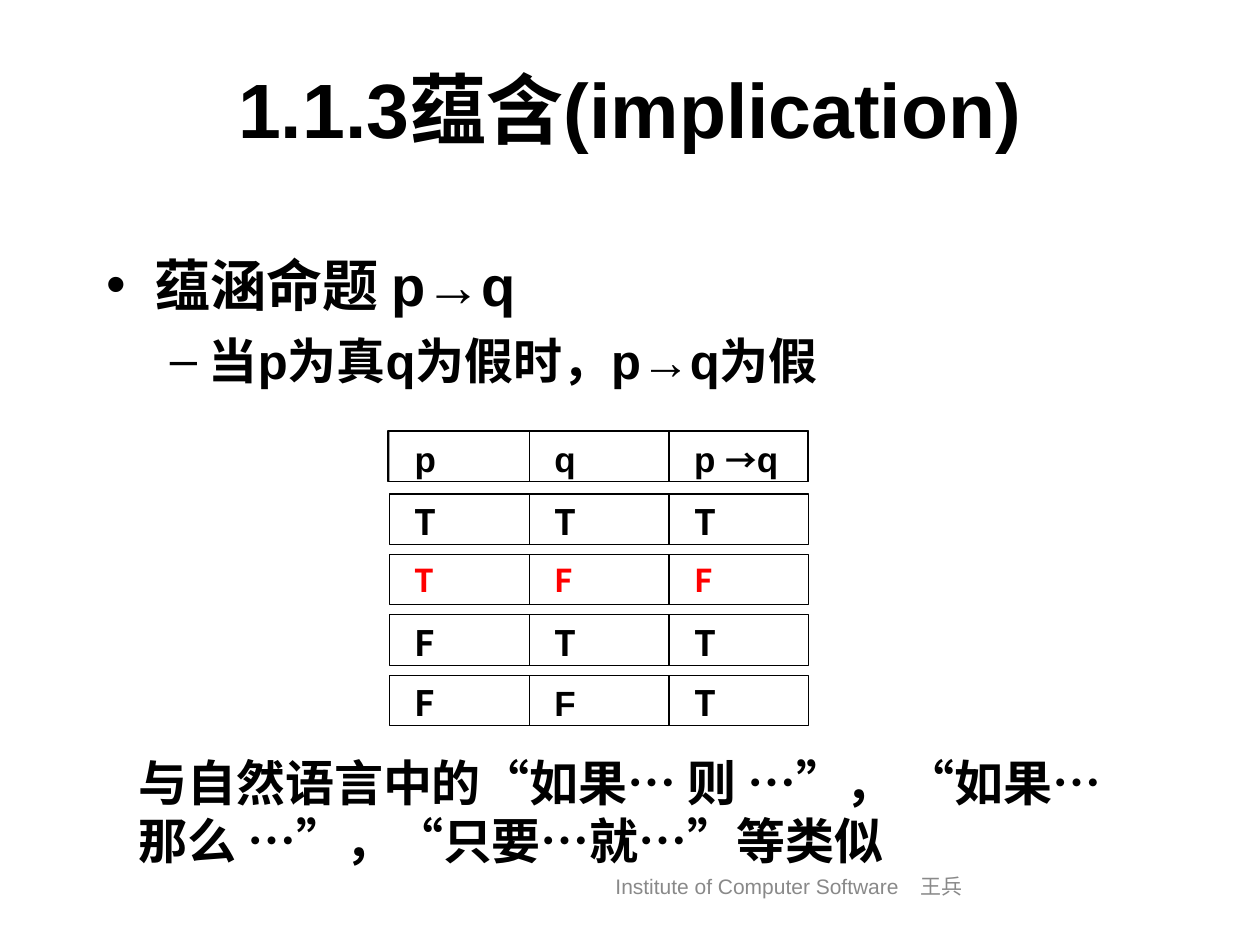
from lxml import etree
from pptx import Presentation
from pptx.dml.color import RGBColor
from pptx.enum.lang import MSO_LANGUAGE_ID
from pptx.enum.shapes import MSO_SHAPE
from pptx.enum.text import MSO_ANCHOR, PP_ALIGN
from pptx.oxml.ns import qn
from pptx.util import Inches, Pt

RECT = MSO_SHAPE.RECTANGLE
TOP, MIDDLE = MSO_ANCHOR.TOP, MSO_ANCHOR.MIDDLE
LEFT, CENTER = PP_ALIGN.LEFT, PP_ALIGN.CENTER
CHINESE = MSO_LANGUAGE_ID.SIMPLIFIED_CHINESE
HAN = "Noto Sans CJK SC"
COLORS = {"ink": "000000", "red": "FF0000", "gray": "898989", "edge": "A0A0A0"}

deck = Presentation()
deck.slide_width, deck.slide_height = Inches(10), Inches(7.5)
slide = deck.slides.add_slide(deck.slide_layouts[6])
shapes = slide.shapes


def add_run(para, text, size, face="Arial", color="ink", bold=True):
    run = para.add_run()
    run.text = text
    font = run.font
    font.size, font.name, font.bold = Pt(size), face, bold
    font.color.rgb = RGBColor.from_string(COLORS[color])
    font.language_id = CHINESE
    etree.SubElement(run._r.get_or_add_rPr(), qn("a:ea"), typeface=HAN)


def add_box(left, top, width, height, align=LEFT, anchor=TOP):
    box = shapes.add_textbox(Inches(left), Inches(top), Inches(width), Inches(height))
    frame = box.text_frame
    frame.word_wrap = True
    frame.vertical_anchor = anchor
    frame.paragraphs[0].alignment = align
    return frame


foot = add_box(2.52, 6.83, 7.48, 0.4, CENTER, MIDDLE)
add_run(foot.paragraphs[0], "Institute of Computer Software　王兵", 12, color="gray", bold=False)

title = add_box(0.75, 0.44, 8.5, 1.25, CENTER)
add_run(title.paragraphs[0], "1.1.3蕴含(implication)", 44)

body = add_box(0.75, 1.94, 8.5, 4.88)
points = [
    ("蕴涵命题 p→q", 32, "•", 0.38, 0.38, 0),
    ("当p为真q为假时，p→q为假", 28, "–", 0.81, 0.31, 7),
]
for level, (text, size, mark, margin, hang, space) in enumerate(points):
    para = body.add_paragraph() if level else body.paragraphs[0]
    para.level = level
    para.space_before = Pt(space)
    props = para._p.get_or_add_pPr()
    props.set("marL", str(Inches(margin)))
    props.set("indent", str(-Inches(hang)))
    etree.SubElement(props, qn("a:buFont"), typeface="Arial")
    etree.SubElement(props, qn("a:buChar"), char=mark)
    add_run(para, text, size)

x, y, wide, high = 3.09, 3.42, 1.11, 0.4
first, step = 3.92, 0.48
head = [
    [("p", 20, "Arial")],
    [("q", 20, "Arial")],
    [("p ", 20, "Arial"), ("→", 18, HAN), ("q", 20, "Arial")],
]
rows = [(y, "ink", head)]
for num, line in enumerate(["TTT", "TFF", "FTT", "FFT"]):
    red = line == "TFF"
    cells = [[(sign, 18 if red else 20, HAN)] for sign in line]
    rows.append((first + num * step, "red" if red else "ink", cells))
rows[-1][2][1] = [("F", 20, "Arial")]

for top, color, cells in rows:
    for col, parts in enumerate(cells):
        cell = shapes.add_shape(
            RECT, Inches(x + col * wide), Inches(top), Inches(wide), Inches(high)
        )
        cell.shadow.inherit = False
        cell.fill.background()
        edge = "edge" if top == y and col == 0 else "ink"
        cell.line.color.rgb = RGBColor.from_string(COLORS[edge])
        cell.line.width = Pt(0)
        frame = cell.text_frame
        frame.vertical_anchor = TOP
        frame.margin_left = Inches(0.2)
        frame.paragraphs[0].alignment = LEFT
        for text, size, face in parts:
            add_run(frame.paragraphs[0], text, size, face, color)

frame = shapes.add_shape(RECT, Inches(3.08), Inches(y), Inches(3 * wide), Inches(high))
frame.shadow.inherit = False
frame.fill.background()
frame.line.color.rgb = RGBColor.from_string(COLORS["ink"])
frame.line.width = Pt(0.75)

note = add_box(1, 5.92, 8.08, 1.04)
parts = [
    "与自然语言中的", "“", "如果", "… ", "则 ", "…”", "， ", "“", "如果", "… ",
    "那么 ", "…”", "，", "“", "只要", "…", "就", "…”", "等类似",
]
for num, text in enumerate(parts):
    face = "Courier New" if num % 2 else "Times New Roman"
    add_run(note.paragraphs[0], text, 28, face)

deck.save("out.pptx")
